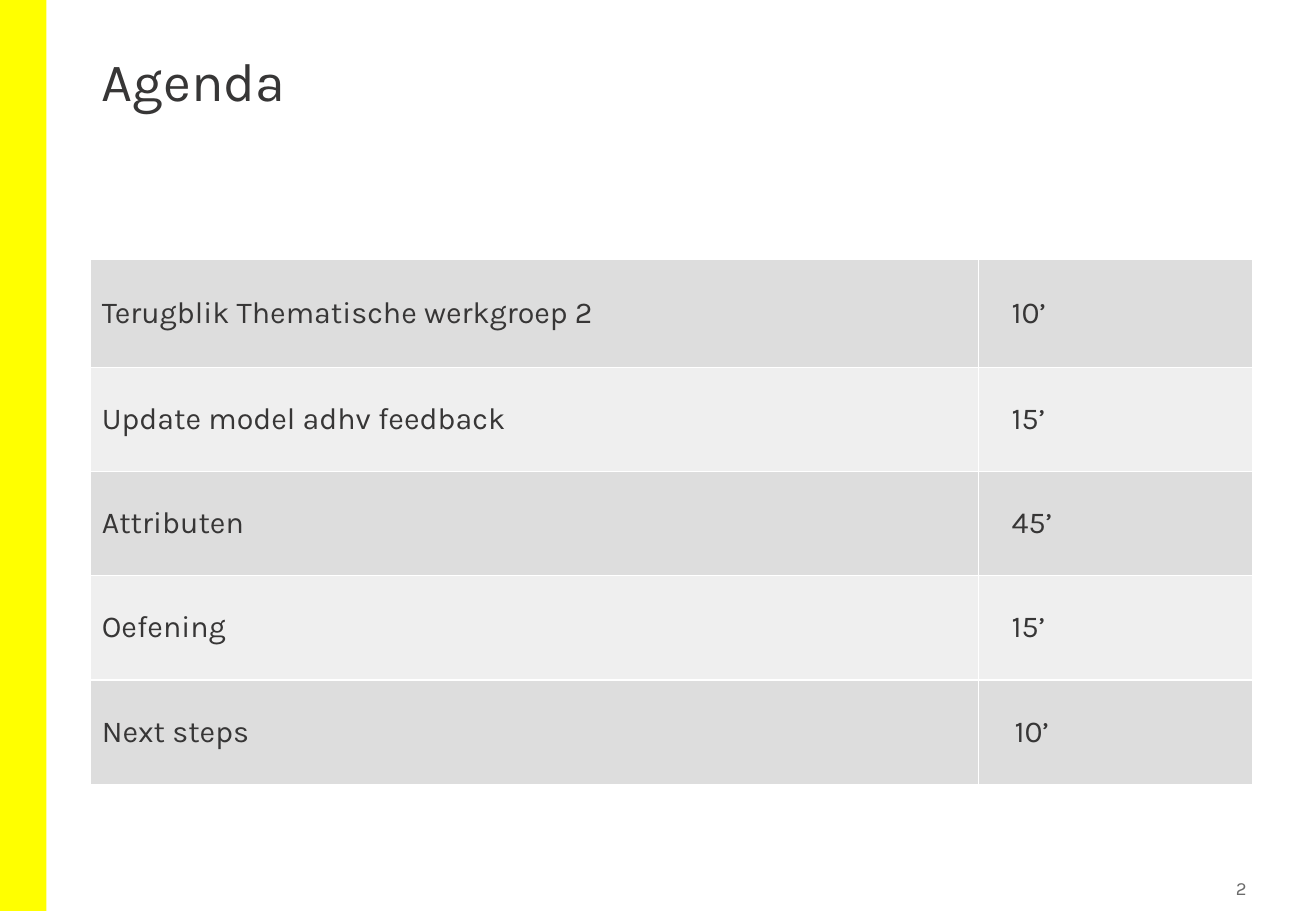
from lxml import etree
from pptx import Presentation
from pptx.dml.color import RGBColor
from pptx.enum import shapes, text
from pptx.oxml import ns
from pptx.util import Cm, Pt

FONT = "Karla"
DARK = "373636"
BANDS = ("DDDDDD", "EFEFEF")
AGENDA = [
    ("Terugblik Thematische werkgroep 2", "10’", 0.7),
    ("Update model adhv feedback", "15’", 0.7),
    ("Attributen", "45’", 0.7),
    ("Oefening", "15’", 0.7),
    ("Next steps", "10’", 0.76),
]


def rgb(value):
    return RGBColor.from_string(value)


def add_run(p, words, size, color=DARK):
    r = p.add_run()
    r.text = words
    r.font.name = FONT
    r.font.size = Pt(size)
    r.font.color.rgb = rgb(color)


def add_bar(s, left, top, width, height, color):
    sp = s.shapes.add_shape(shapes.MSO_SHAPE.RECTANGLE,
                            Cm(left), Cm(top), Cm(width), Cm(height))
    sp.shadow.inherit = False
    sp.fill.solid()
    sp.fill.fore_color.rgb = rgb(color)
    sp.line.fill.background()


def add_label(s, box, words, size, color, align, anchor, spacing=1.0):
    sp = s.shapes.add_textbox(*map(Cm, box))
    tf = sp.text_frame
    tf.word_wrap = True
    tf.vertical_anchor = anchor
    p = tf.paragraphs[0]
    p.alignment = align
    p.line_spacing = spacing
    add_run(p, words, size, color)
    return tf


def set_borders(cell, color, width):
    tc_pr = cell._tc.get_or_add_tcPr()
    for side in ("lnL", "lnR", "lnT", "lnB"):
        ln = etree.SubElement(tc_pr, ns.qn(f"a:{side}"), w=str(Pt(width)))
        fill = etree.SubElement(ln, ns.qn("a:solidFill"))
        etree.SubElement(fill, ns.qn("a:srgbClr"), val=color)


def fill_cell(cell, words, band, margin):
    set_borders(cell, "FFFFFF", 1)
    cell.fill.solid()
    cell.fill.fore_color.rgb = rgb(band)
    cell.vertical_anchor = text.MSO_ANCHOR.MIDDLE
    cell.margin_left = Cm(margin)
    add_run(cell.text_frame.paragraphs[0], words, 18)


def add_agenda(s):
    frame = s.shapes.add_table(len(AGENDA), 2, Cm(1.88), Cm(5.42), Cm(24.31), Cm(11))
    table = frame.table
    table.first_row = table.horz_banding = False
    for column, width in zip(table.columns, (18.57, 5.74)):
        column.width = Cm(width)
    for i, (topic, minutes, indent) in enumerate(AGENDA):
        table.rows[i].height = Cm(2.18 if i else 2.26)
        band = BANDS[i % 2]
        fill_cell(table.cell(i, 0), topic, band, 0.25)
        fill_cell(table.cell(i, 1), minutes, band, indent)


def main():
    prs = Presentation()
    prs.slide_width, prs.slide_height = Cm(27.51), Cm(19.05)
    s = prs.slides.add_slide(prs.slide_layouts[6])
    add_bar(s, 0, 0, 0.97, 19.05, "FFFF00")
    add_label(s, (1.88, 1.02, 23.72, 2.74), "Agenda", 32, DARK,
              text.PP_ALIGN.LEFT, text.MSO_ANCHOR.TOP, 0.9)
    add_agenda(s)
    tf = add_label(s, (24.13, 18.21, 2.06, 0.74), "2", 11, "6B6B6B",
                   text.PP_ALIGN.RIGHT, text.MSO_ANCHOR.MIDDLE)
    tf.margin_left = tf.margin_right = tf.margin_top = tf.margin_bottom = Cm(0.13)
    prs.save("out.pptx")


if __name__ == "__main__":
    main()
